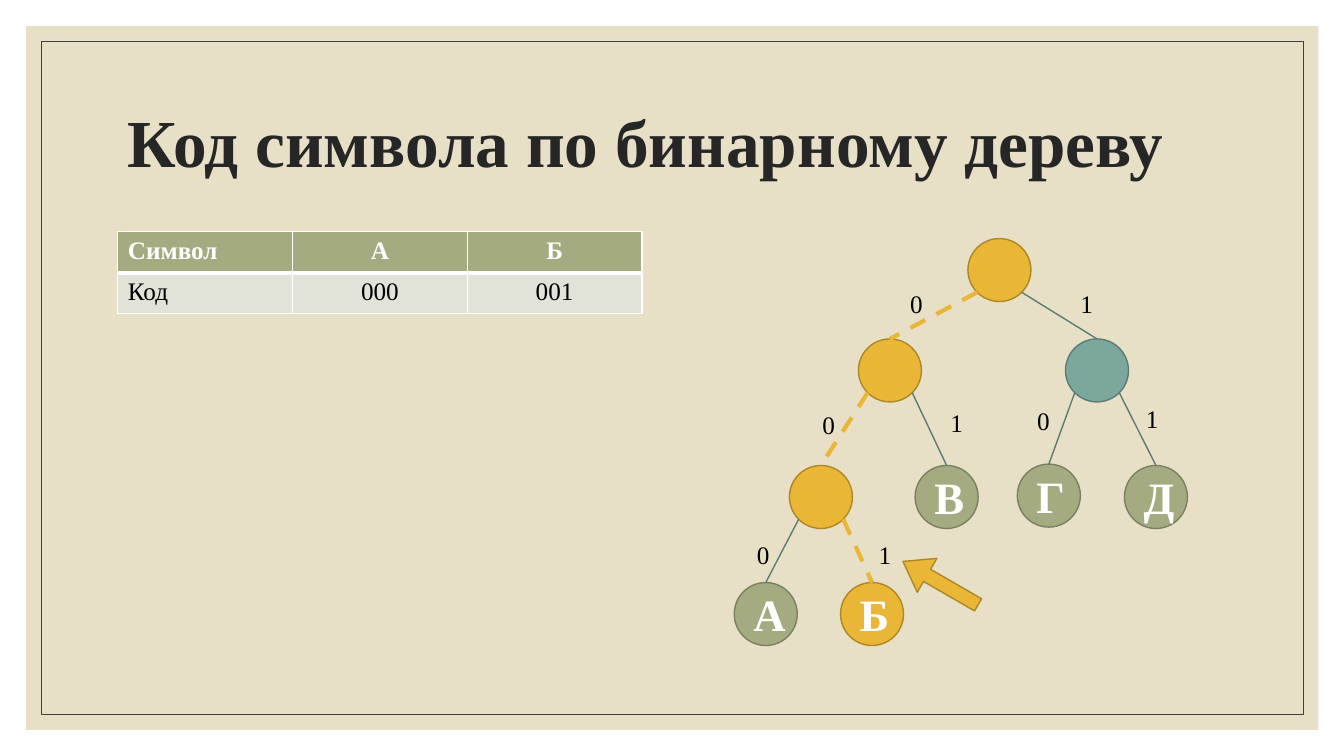
from math import sqrt
from lxml import etree
from pptx import Presentation
from pptx.dml.color import RGBColor
from pptx.enum.dml import MSO_LINE
from pptx.enum.shapes import MSO_CONNECTOR, MSO_SHAPE
from pptx.enum.text import MSO_ANCHOR, PP_ALIGN
from pptx.oxml.ns import qn
from pptx.util import Pt

RECT, OVAL, ARROW = MSO_SHAPE.RECTANGLE, MSO_SHAPE.OVAL, MSO_SHAPE.RIGHT_ARROW
LINE, DASH = MSO_CONNECTOR.STRAIGHT, MSO_LINE.DASH
LEFT, MID = PP_ALIGN.LEFT, PP_ALIGN.CENTER
CENTER = MSO_ANCHOR.MIDDLE

# Content: each node is keyed by its code, the path of bits from the root
TITLE = "Код символа по бинарному дереву"
GOAL = "001"
TREE = {  # code: (letter, centre x, centre y, label left, label top)
    "": ("", 713.9, 192.9, None, None),
    "0": ("", 635.7, 264.6, 643, 202.3),
    "1": ("", 783.6, 264.6, 764.6, 202.3),
    "00": ("", 586.4, 355, 580.3, 288.7),
    "01": ("В", 676.2, 355, 671.8, 287.3),
    "10": ("Г", 749.2, 354, 733.7, 285.8),
    "11": ("Д", 825.7, 355, 811.4, 284.4),
    "000": ("А", 547, 438.6, 533.5, 381.6),
    "001": ("Б", 622.9, 438.6, 620.6, 381.6),
}
SHOWN = ["000", "001"]
ROWS = [["Символ"] + [TREE[code][0] for code in SHOWN], ["Код"] + SHOWN]

THEME = {
    "font": "Times New Roman",
    "title": 48, "letter": 32, "body": 18,
    "panel": "E7E0C7", "frame": "404040", "head": "262626",
    "white": "FFFFFF", "black": "000000", "pale": "E1E2D8",
    "path": ("E9B635", "AC8727"),
    "leaf": ("A5AB81", "7A7F5F"),
    "node": ("7BA79D", "5B7C74"),
}
SIZE = 45
DIAG = SIZE / 2 / sqrt(2)

deck = Presentation()
deck.slide_width, deck.slide_height = Pt(960), Pt(540)
slide = deck.slides.add_slide(deck.slide_layouts[6])
shapes = slide.shapes


def rgb(code):
    return RGBColor.from_string(code)


def write(frame, text, size, color, bold=False, align=MID):
    frame.text = text
    para = frame.paragraphs[0]
    para.alignment = align
    font = para.runs[0].font
    font.name, font.size, font.bold = THEME["font"], Pt(size), bold
    font.color.rgb = rgb(color)
    return para


def draw(kind, box, fill=None, edge=None, width=1):
    shape = shapes.add_shape(kind, *map(Pt, box))
    shape.shadow.inherit = False
    if fill:
        shape.fill.solid()
        shape.fill.fore_color.rgb = rgb(fill)
    else:
        shape.fill.background()
    if edge:
        shape.line.color.rgb = rgb(edge)
        shape.line.width = Pt(width)
    else:
        shape.line.fill.background()
    return shape


def label(text, box, size, color, **style):
    frame = shapes.add_textbox(*map(Pt, box)).text_frame
    frame.word_wrap = True
    return frame, write(frame, text, size, color, **style)


def link(start, end, color, width, dash=None):
    line = shapes.add_connector(LINE, *map(Pt, start + end))
    line.line.color.rgb = rgb(color)
    line.line.width = Pt(width)
    if dash:
        line.line.dash_style = dash
    etree.SubElement(line._element.spPr, qn("a:effectLst"))


def border(cell, side, width):
    props = cell._tc.get_or_add_tcPr()
    line = etree.SubElement(props, qn("a:ln" + side), w=str(Pt(width)))
    fill = etree.SubElement(line, qn("a:solidFill"))
    etree.SubElement(fill, qn("a:srgbClr"), val=THEME["white"])


# Background panel, frame and title
draw(RECT, (18.7, 18.7, 923, 502.6), THEME["panel"])
draw(RECT, (29.5, 29.5, 901.4, 481), edge=THEME["frame"], width=0.5)
frame, para = label(TITLE, (84.2, 50.4, 792, 108), THEME["title"],
                    THEME["head"], bold=True, align=LEFT)
frame.vertical_anchor = CENTER
para.line_spacing = 0.9

# Tree nodes
for code, (letter, x, y, *_) in TREE.items():
    role = "path" if GOAL.startswith(code) else "leaf" if letter else "node"
    node = draw(OVAL, (x - SIZE / 2, y - SIZE / 2, SIZE, SIZE), *THEME[role])
    if letter:
        frame = node.text_frame
        frame.vertical_anchor = CENTER
        write(frame, letter, THEME["letter"], THEME["white"], bold=True)

# Branches with their bits
for code, (_, x, y, left, top) in TREE.items():
    if not code:
        continue
    bit = code[-1]
    _, px, py, *_ = TREE[code[:-1]]
    side = -DIAG if bit == "0" else DIAG
    start, end = (px + side, py + DIAG), (x, y - SIZE / 2)
    if GOAL.startswith(code):
        link(start, end, THEME["path"][0], 3, DASH)
    else:
        link(start, end, THEME["node"][1], 1)
    label(bit, (left, top, 24, 29), THEME["body"], THEME["black"], align=LEFT)

# Code table
table = shapes.add_table(len(ROWS), len(ROWS[0]), Pt(84.2), Pt(165.6),
                         Pt(374.4), Pt(58.4)).table
for r, row in enumerate(ROWS):
    head = r == 0
    for c, text in enumerate(row):
        cell = table.cell(r, c)
        write(cell.text_frame, text, THEME["body"],
              THEME["white" if head else "black"], bold=head,
              align=MID if c else LEFT)
        for side in "LRTB":
            thick = side == ("B" if head else "T")
            border(cell, side, 3 if thick else 1)
        cell.fill.solid()
        cell.fill.fore_color.rgb = rgb(THEME["leaf"][0] if head else THEME["pale"])

# Pointer to the coded symbol
arrow = draw(ARROW, (640.8, 402.5, 62, 28), *THEME["path"])
arrow.adjustments[0], arrow.adjustments[1] = 0.36, 0.71
arrow.rotation = 210

deck.save("out.pptx")
